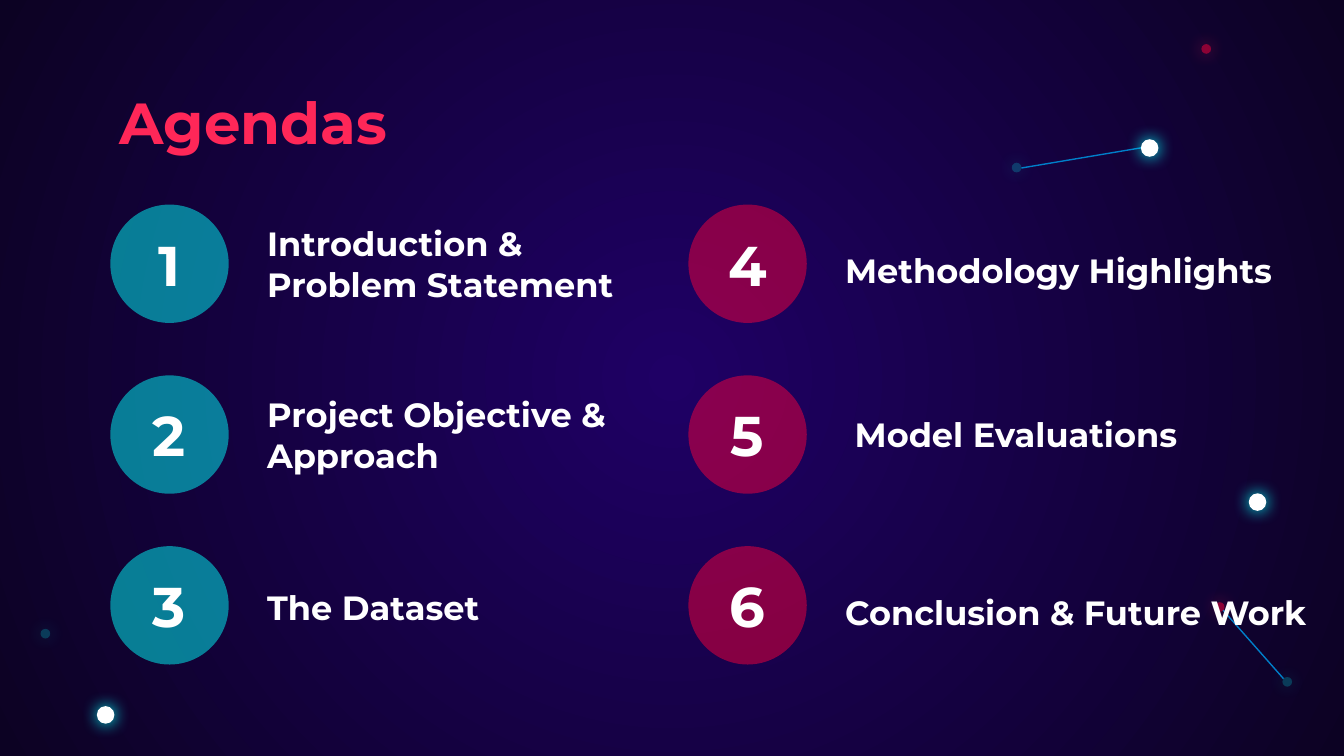
from dataclasses import dataclass

from lxml.etree import SubElement
from pptx import Presentation
from pptx.dml.color import RGBColor
from pptx.enum.shapes import MSO_CONNECTOR, MSO_SHAPE
from pptx.enum.text import MSO_ANCHOR, MSO_AUTO_SIZE, PP_ALIGN
from pptx.oxml.ns import qn
from pptx.util import Pt


@dataclass(frozen=True)
class Theme:
    font: str = "Montserrat"
    center: str = "1F0065"
    edge: str = "0C0223"
    white: str = "FFFFFF"
    cyan: str = "00FFFD"
    red: str = "FF003A"
    pink: str = "FF2758"
    blue: str = "007FCA"
    title_size: float = 31
    number_size: float = 30
    label_size: float = 18


theme = Theme()


def write_text(shape, text, size, color=theme.white, align=PP_ALIGN.LEFT, indent=0):
    frame = shape.text_frame
    frame.word_wrap = True
    frame.auto_size = MSO_AUTO_SIZE.NONE
    frame.vertical_anchor = MSO_ANCHOR.MIDDLE
    frame.margin_left = Pt(7.2 + indent)
    frame.margin_right = frame.margin_top = frame.margin_bottom = Pt(7.2)
    frame.text = text
    paragraph = frame.paragraphs[0]
    paragraph.alignment = align
    font = paragraph.runs[0].font
    font.name, font.size, font.bold = theme.font, Pt(size), True
    font.color.rgb = RGBColor.from_string(color)


def add_disc(center_x, center_y, diameter, color, opacity=100, glow=None):
    disc = slide.shapes.add_shape(
        MSO_SHAPE.OVAL, Pt(center_x - diameter / 2), Pt(center_y - diameter / 2),
        Pt(diameter), Pt(diameter))
    disc.fill.solid()
    disc.fill.fore_color.rgb = RGBColor.from_string(color)
    disc.line.fill.background()
    disc.shadow.inherit = False
    properties = disc._element.spPr
    if opacity < 100:
        fill_color = properties.find(qn("a:solidFill"))[0]
        SubElement(fill_color, qn("a:alpha"), val=str(opacity * 1000))
    if glow:
        halo = SubElement(properties.find(qn("a:effectLst")), qn("a:outerShdw"),
                          blurRad=str(Pt(9)), dist="0", algn="ctr", rotWithShape="0")
        SubElement(halo, qn("a:srgbClr"), val=glow)


presentation = Presentation()
presentation.slide_width, presentation.slide_height = Pt(720), Pt(405)
slide = presentation.slides.add_slide(presentation.slide_layouts[5])

# Background: radial gradient from the middle of the slide
background = slide.background.fill
background.gradient()
for stop, color, position in zip(background.gradient_stops, (theme.center, theme.edge), (0, 1)):
    stop.color.rgb = RGBColor.from_string(color)
    stop.position = position
gradient = slide._element.find(".//" + qn("a:gradFill"))
gradient.remove(gradient.find(qn("a:lin")))
radial = SubElement(gradient, qn("a:path"), path="circle")
SubElement(radial, qn("a:fillToRect"), l="50000", t="50000", r="50000", b="50000")

# Constellation lines
for start_x, start_y, end_x, end_y in [(687.6, 363.6, 655.2, 326.9), (611.3, 79.2, 547.2, 90)]:
    star_link = slide.shapes.add_connector(
        MSO_CONNECTOR.STRAIGHT, Pt(start_x), Pt(start_y), Pt(end_x), Pt(end_y))
    star_link.line.color.rgb = RGBColor.from_string(theme.blue)
    star_link.line.width = Pt(0.75)
    SubElement(star_link._element.spPr, qn("a:effectLst"))

# Glowing stars: diameter, colour, opacity, glow, centres
star_groups = [
    (9.4, theme.white, 100, theme.cyan, [(56.6, 383), (673.7, 269), (615.9, 79.3)]),
    (5.2, theme.cyan, 20, theme.cyan, [(24.3, 339.5), (689.6, 365.3), (544.6, 89.8)]),
    (5.2, theme.red, 48, theme.pink, [(653.4, 325.2), (646.2, 26.2)]),
]
for diameter, color, opacity, glow, centers in star_groups:
    for center_x, center_y in centers:
        add_disc(center_x, center_y, diameter, color, opacity, glow)

# Title
title = slide.shapes.title
title.left, title.top, title.width, title.height = Pt(56.9), Pt(42.5), Pt(607), Pt(44.6)
write_text(title, "Agendas", theme.title_size, theme.pink)

# Agenda columns: circle centre, colour, opacity, then label, top, width, height, indent
columns = [
    (90.8, theme.cyan, 49, [
        ("Introduction & Problem Statement", 116, 215.3, 50.4, 0),
        ("Project Objective & Approach", 207.6, 215.3, 50.4, 0),
        ("The Dataset", 300.3, 215.3, 50.4, 0)]),
    (400.5, theme.red, 48, [
        ("Methodology Highlights", 116, 263.5, 56.9, 0),
        ("Model Evaluations", 207.6, 295.9, 50.4, 5),
        ("Conclusion & Future Work", 299.5, 274.3, 56.9, 0)]),
]
first_row, row_pitch, circle_size = 141.3, 91.5, 63.4
number_width, number_height, label_offset = 40.3, 46.8, 45.2

number = 0
for center_x, color, opacity, topics in columns:
    for row, (topic, top, width, height, indent) in enumerate(topics):
        number += 1
        center_y = first_row + row * row_pitch
        add_disc(center_x, center_y, circle_size, color, opacity)
        number_box = slide.shapes.add_textbox(
            Pt(center_x - number_width / 2), Pt(center_y - number_height / 2),
            Pt(number_width), Pt(number_height))
        write_text(number_box, str(number), theme.number_size, align=PP_ALIGN.CENTER)
        label = slide.shapes.add_textbox(
            Pt(center_x + label_offset), Pt(top), Pt(width), Pt(height))
        write_text(label, topic, theme.label_size, indent=indent)

presentation.save("out.pptx")
